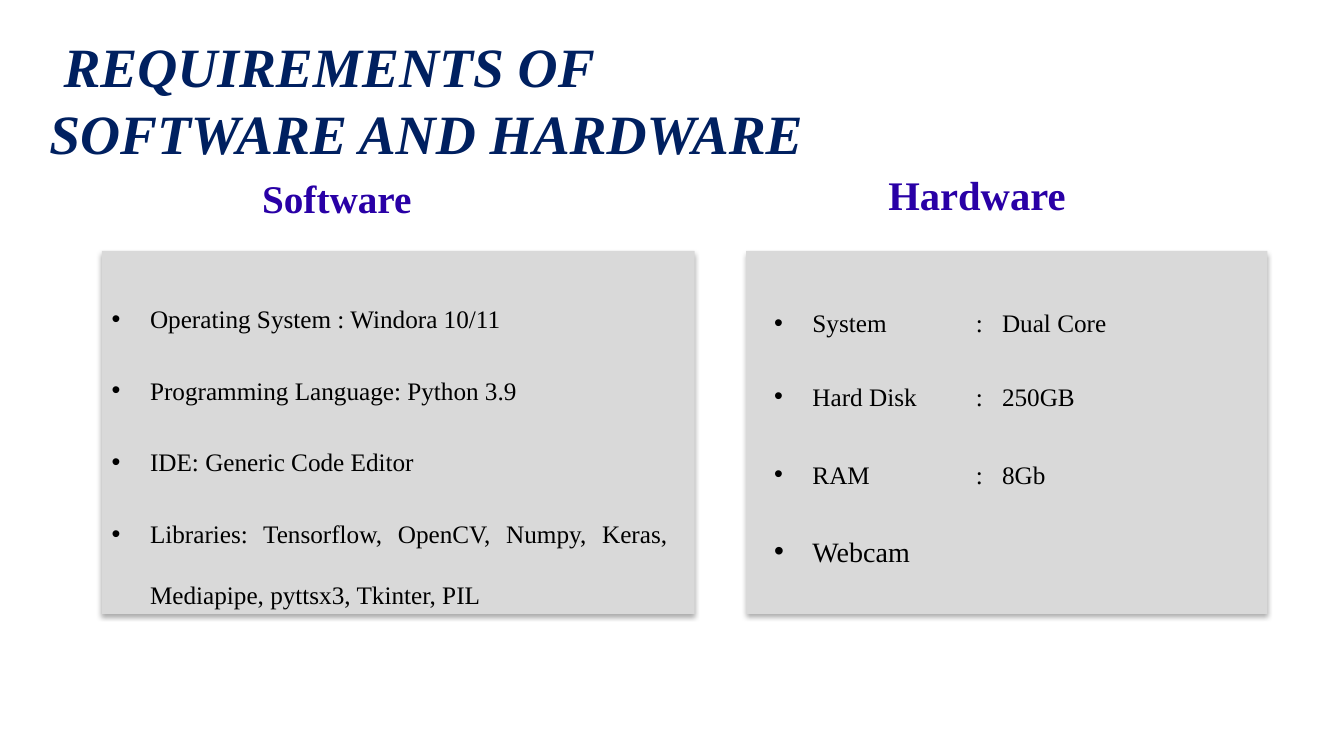
from lxml import etree
from pptx import Presentation
from pptx import util as u
from pptx.dml.color import RGBColor
from pptx.enum import shapes, text
from pptx.oxml.ns import qn

THEME = {
    "font": "Times New Roman",
    "title": "002060", "heading": "2900A6", "body": "000000", "panel": "D9D9D9",
    "title_size": 39.6, "software_size": 28, "hardware_size": 29,
    "body_size": 18, "large_size": 20,
}
TITLE = "REQUIREMENTS OF\vSOFTWARE AND HARDWARE"
SOFTWARE = [
    ("Operating System : Windora 10/11", "body_size", 8),
    ("Programming Language: Python 3.9", "body_size", 8),
    ("IDE: Generic Code Editor", "body_size", 8),
    ("Libraries: Tensorflow, OpenCV, Numpy, Keras, Mediapipe, pyttsx3, Tkinter, PIL",
     "body_size", 0),
]
HARDWARE = [
    ("System\t:\tDual Core", "body_size", 20.1),
    ("Hard Disk\t:\t250GB", "body_size", 23.5),
    ("RAM\t:\t8Gb", "body_size", 20.1),
    ("Webcam", "large_size", 0),
]
COLUMNS = [
    {"heading": "Software", "size": "software_size", "heading_at": (2.6, 1.54, 1.97, 0.95),
     "heading_spacing": 1.4, "panel_at": (1.01, 2.49, 5.88, 3.6),
     "items": SOFTWARE, "list_at": (1.01, 2.66, 5.71, 3.38), "spacing": 2.0, "tabs": ()},
    {"heading": "Hardware", "size": "hardware_size", "heading_at": (8.81, 1.54, 3.11, 0.67),
     "heading_spacing": 1.3, "panel_at": (7.4, 2.49, 5.17, 3.6),
     "items": HARDWARE, "list_at": (7.58, 2.85, 4.99, 2.81), "spacing": 1.5,
     "tabs": (2.0, 2.26)},
]
HANG = 0.38


def inches(values):
    return [u.Inches(value) for value in values]


def add_span(para, words, size, color, bold=False, italic=False):
    span = para.add_run()
    span.text = words
    font = span.font
    font.name, font.size = THEME["font"], u.Pt(THEME[size])
    font.bold, font.italic = bold, italic
    font.color.rgb = RGBColor.from_string(THEME[color])


def add_frame(page, at, insets):
    frame = page.shapes.add_textbox(*inches(at)).text_frame
    frame.word_wrap = True
    (frame.margin_left, frame.margin_top,
     frame.margin_right, frame.margin_bottom) = inches(insets)
    return frame


def add_panel(page, at):
    panel = page.shapes.add_shape(shapes.MSO_SHAPE.RECTANGLE, *inches(at))
    panel.shadow.inherit = False
    panel.fill.solid()
    panel.fill.fore_color.rgb = RGBColor.from_string(THEME["panel"])
    panel.line.fill.background()
    effects = panel._element.spPr.find(qn("a:effectLst"))
    shadow = etree.SubElement(effects, qn("a:outerShdw"), blurRad=str(u.Pt(3.5)),
                              dist=str(u.Pt(2.2)), dir="5400000", rotWithShape="0")
    color = etree.SubElement(shadow, qn("a:srgbClr"), val="000000")
    etree.SubElement(color, qn("a:alpha"), val="32000")


def add_bullet(para, tabs):
    props = para._p.get_or_add_pPr()
    props.set("marL", str(u.Inches(HANG)))
    props.set("indent", str(-u.Inches(HANG)))
    etree.SubElement(props, qn("a:buFont"), typeface="Arial")
    etree.SubElement(props, qn("a:buChar"), char="•")
    if tabs:
        stops = etree.SubElement(props, qn("a:tabLst"))
        for tab in tabs:
            etree.SubElement(stops, qn("a:tab"), pos=str(u.Inches(tab)), algn="l")


def add_list(page, column):
    frame = add_frame(page, column["list_at"], (0.1, 0.05, 0.1, 0.05))
    for index, (words, size, after) in enumerate(column["items"]):
        para = frame.add_paragraph() if index else frame.paragraphs[0]
        add_bullet(para, column["tabs"])
        para.alignment = text.PP_ALIGN.JUSTIFY
        para.line_spacing = column["spacing"]
        para.space_after = u.Pt(after)
        add_span(para, words, size, "body")


def add_title(page):
    frame = add_frame(page, (0.49, 0.42, 12.08, 1.12), (0, 0, 0, 0))
    frame.vertical_anchor = text.MSO_ANCHOR.MIDDLE
    para = frame.paragraphs[0]
    para._p.get_or_add_pPr().set("indent", str(u.Inches(0.14)))
    for index, line in enumerate(TITLE.split("\v")):
        if index:
            para.add_line_break()
        add_span(para, line, "title_size", "title", bold=True, italic=True)


def add_heading(page, column):
    para = add_frame(page, column["heading_at"], (0, 0, 0.1, 0)).paragraphs[0]
    para.line_spacing = column["heading_spacing"]
    add_span(para, column["heading"], column["size"], "heading", bold=True)


def main():
    deck = Presentation()
    deck.slide_width, deck.slide_height = inches((13.33, 7.5))
    page = deck.slides.add_slide(deck.slide_layouts[6])
    add_title(page)
    for column in COLUMNS:
        add_panel(page, column["panel_at"])
        add_heading(page, column)
        add_list(page, column)
    deck.save("out.pptx")


if __name__ == "__main__":
    main()
